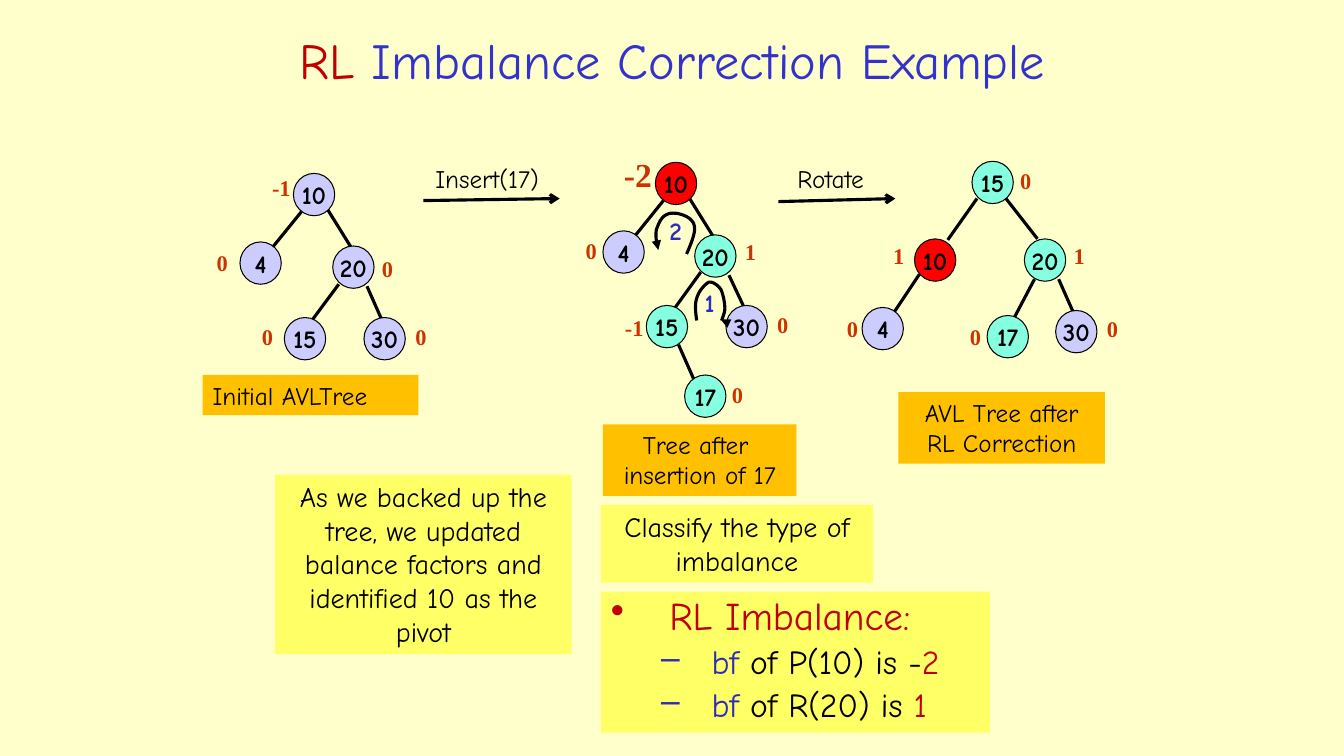
"""Build a slide that walks through an RL imbalance correction in an AVL tree."""
from lxml.etree import SubElement
from pptx import Presentation
from pptx.dml.color import RGBColor
from pptx.enum.shapes import MSO_CONNECTOR, MSO_SHAPE
from pptx.enum.text import MSO_ANCHOR, PP_ALIGN
from pptx.oxml.ns import qn
from pptx.util import Inches, Pt

CREAM = RGBColor(0xFF, 0xFF, 0xCC)
BLACK = RGBColor(0x00, 0x00, 0x00)
DARK_RED = RGBColor(0xC0, 0x00, 0x00)
TITLE_BLUE = RGBColor(0x33, 0x33, 0xCC)
BLUE = RGBColor(0x2D, 0x2D, 0xB9)
RUST = RGBColor(0xCC, 0x33, 0x00)
LILAC = RGBColor(0xCC, 0xCC, 0xFF)
MINT = RGBColor(0x85, 0xFF, 0xE0)
RED = RGBColor(0xFF, 0x00, 0x00)
ORANGE = RGBColor(0xFF, 0xC0, 0x00)
YELLOW = RGBColor(0xFF, 0xFF, 0x66)

deck = Presentation()
deck.slide_width, deck.slide_height = Inches(13.33), Inches(7.5)
page = deck.slides.add_slide(deck.slide_layouts[6])
page.background.fill.solid()
page.background.fill.fore_color.rgb = CREAM


def add_box(kind, area, paragraphs, fill=None, outline=None, align=PP_ALIGN.LEFT,
            anchor=MSO_ANCHOR.TOP, wrap=True, **font):
    """Add a text box, or a shape of the given kind; a paragraph is a list of (text, colour)."""
    area = [Inches(length) for length in area]
    if kind is None:
        box = page.shapes.add_textbox(*area)
    else:
        box = page.shapes.add_shape(kind, *area)
        box.shadow.inherit = False
        box.fill.solid()
        box.fill.fore_color.rgb = fill
        if outline is None:
            box.line.fill.background()
        else:
            box.line.color.rgb = outline
            box.line.width = Pt(0.75)
    frame = box.text_frame
    frame.word_wrap = wrap
    frame.vertical_anchor = anchor
    for number, runs in enumerate(paragraphs):
        para = frame.add_paragraph() if number else frame.paragraphs[0]
        para.alignment = align
        for text, color in runs:
            span = para.add_run()
            span.text = text
            span.font.color.rgb = color
            for name, value in ({"name": "Comic Neue"} | font).items():
                setattr(span.font, name, value)
    return box


def style_line(shape, arrowhead=None):
    """Give a line its black stroke, no shadow and an optional arrowhead at its end."""
    shape.line.color.rgb = BLACK
    shape.line.width = Pt(2.25)
    if arrowhead:
        SubElement(shape.line._get_or_add_ln(), qn("a:tailEnd"), type=arrowhead)
    properties = shape._element.spPr
    if properties.find(qn("a:effectLst")) is None:
        SubElement(properties, qn("a:effectLst"))


add_box(None, (1.9, 0.21, 9.54, 0.76),
        [[("RL ", DARK_RED), ("Imbalance Correction Example", TITLE_BLUE)]],
        align=PP_ALIGN.CENTER, anchor=MSO_ANCHOR.MIDDLE, size=Pt(36))

edges = [
    (3.25, 2.08, 3.48, 2.45), (2.99, 2.1, 2.69, 2.47),
    (3.64, 2.84, 3.79, 3.18), (3.36, 2.82, 3.1, 3.17),
    (6.84, 1.97, 7.07, 2.34), (6.58, 1.99, 6.29, 2.35),
    (7.23, 2.73, 7.39, 3.07), (6.95, 2.7, 6.69, 3.06), (6.73, 3.42, 6.88, 3.76),
    (9.97, 1.96, 10.29, 2.37), (9.69, 1.97, 9.4, 2.38),
    (10.5, 2.77, 10.65, 3.11), (10.26, 2.77, 10.05, 3.17), (9.12, 2.72, 8.86, 3.11),
]
step_arrows = [(4.2, 1.99, 5.55, 1.97), (7.72, 2, 8.88, 1.97)]
for ends in edges + step_arrows:
    line = page.shapes.add_connector(MSO_CONNECTOR.STRAIGHT, *[Inches(end) for end in ends])
    style_line(line, "arrow" if ends in step_arrows else None)

nodes = [
    ("10", 2.91, 1.72, LILAC, "-1", 2.6, 1.68),
    ("4", 2.38, 2.4, LILAC, "0", 2.05, 2.42),
    ("20", 3.3, 2.44, LILAC, "0", 3.69, 2.48),
    ("15", 2.82, 3.15, LILAC, "0", 2.5, 3.16),
    ("30", 3.61, 3.15, LILAC, "0", 4.02, 3.16),
    ("10", 6.5, 1.61, RED, "-2", 6.09, 1.48),
    ("4", 5.98, 2.29, LILAC, "0", 5.71, 2.3),
    ("20", 6.89, 2.33, MINT, "1", 7.29, 2.31),
    ("15", 6.41, 3.03, MINT, "-1", 6.1, 3.07),
    ("30", 7.2, 3.03, LILAC, "0", 7.61, 3.04),
    ("17", 6.79, 3.72, MINT, "0", 7.16, 3.73),
    ("15", 9.64, 1.6, MINT, "0", 10.02, 1.61),
    ("10", 9.07, 2.37, RED, "1", 8.76, 2.35),
    ("20", 10.16, 2.37, MINT, "1", 10.55, 2.35),
    ("4", 8.55, 3.05, LILAC, "0", 8.3, 3.08),
    ("17", 9.79, 3.13, MINT, "0", 9.52, 3.16),
    ("30", 10.47, 3.08, LILAC, "0", 10.88, 3.08),
]
factor_sizes = {"0": (0.31, 0.37, 16), "1": (0.31, 0.37, 16),
                "-1": (0.39, 0.37, 16), "-2": (0.48, 0.5, 24)}
for key, left, top, fill, factor, factor_left, factor_top in nodes:
    add_box(MSO_SHAPE.OVAL, (left, top, 0.41, 0.42), [[(key, BLACK)]], fill, BLACK,
            PP_ALIGN.CENTER, MSO_ANCHOR.MIDDLE, wrap=False, size=Pt(18), bold=True)
    width, height, points = factor_sizes[factor]
    add_box(None, (factor_left, factor_top, width, height), [[(factor, RUST)]],
            wrap=False, name="Times New Roman", size=Pt(points), bold=True)

rotations = [
    ("2", 6.54, 2.09, [
        (6.81, 2.52), (6.85, 2.43), (6.89, 2.33), (6.89, 2.27), (6.89, 2.2), (6.84, 2.16),
        (6.79, 2.14), (6.75, 2.12), (6.66, 2.1), (6.61, 2.13), (6.56, 2.15), (6.53, 2.22),
        (6.51, 2.28), (6.5, 2.34), (6.51, 2.41), (6.53, 2.48)]),
    ("1", 6.89, 2.8, [
        (6.91, 3.18), (6.9, 3.1), (6.89, 3.02), (6.91, 2.96), (6.93, 2.89), (6.99, 2.82),
        (7.03, 2.8), (7.07, 2.79), (7.12, 2.83), (7.15, 2.87), (7.17, 2.91), (7.19, 3),
        (7.19, 3.06), (7.19, 3.11), (7.15, 3.19), (7.15, 3.21), (7.14, 3.23), (7.14, 3.2),
        (7.15, 3.17)]),
]
STEPS = 8
for order, left, top, controls in rotations:
    curve = []
    for first in range(0, len(controls) - 1, 3):
        for step in range(1, STEPS + 1):
            t = step / STEPS
            weights = ((1 - t) ** 3, 3 * t * (1 - t) ** 2, 3 * t ** 2 * (1 - t), t ** 3)
            corners = list(zip(weights, controls[first:first + 4]))
            curve.append(tuple(Inches(sum(weight * point[axis] for weight, point in corners))
                               for axis in (0, 1)))
    start_x, start_y = controls[0]
    outline = page.shapes.build_freeform(Inches(start_x), Inches(start_y))
    outline.add_line_segments(curve, close=False)
    arc = outline.convert_to_shape()
    arc.fill.background()
    style_line(arc, "triangle")
    add_box(None, (left, top, 0.36, 0.4), [[(order, BLUE)]], wrap=False, size=Pt(18), bold=True)

captions = [
    (None, (4.22, 1.57, 1.47, 0.4), ["Insert(17)"], None, PP_ALIGN.LEFT, 18),
    (None, (7.81, 1.57, 1.02, 0.4), ["Rotate"], None, PP_ALIGN.LEFT, 18),
    (MSO_SHAPE.RECTANGLE, (2.01, 3.72, 2.14, 0.4), ["Initial AVLTree"],
     ORANGE, PP_ALIGN.LEFT, 18),
    (MSO_SHAPE.RECTANGLE, (5.98, 4.21, 1.92, 0.71), ["Tree after ", "insertion of 17"],
     ORANGE, PP_ALIGN.CENTER, 18),
    (MSO_SHAPE.RECTANGLE, (8.91, 3.89, 2.05, 0.71), ["AVL Tree after", "RL Correction"],
     ORANGE, PP_ALIGN.CENTER, 18),
    (MSO_SHAPE.RECTANGLE, (2.73, 4.71, 2.94, 1.78),
     ["As we backed up the tree, we updated balance factors and identified 10 as the pivot"],
     YELLOW, PP_ALIGN.CENTER, 20),
    (MSO_SHAPE.RECTANGLE, (5.96, 5.01, 2.7, 0.77), ["Classify the type of imbalance"],
     YELLOW, PP_ALIGN.CENTER, 20),
]
for kind, area, lines, fill, align, points in captions:
    add_box(kind, area, [[(text, BLACK)] for text in lines], fill, align=align, size=Pt(points))

summary = add_box(MSO_SHAPE.RECTANGLE, (5.96, 5.87, 3.86, 1.4), [
    [("RL Imbalance:", DARK_RED)],
    [("bf", BLUE), (" of P(10) is -", BLACK), ("2", DARK_RED)],
    [("bf", BLUE), (" of R(20) is ", BLACK), ("1", DARK_RED)],
], YELLOW, size=Pt(24))
bullets = [("•", 0, 0.58, 0.58, DARK_RED, 28, 0), ("–", 1, 1, 0.5, BLUE, 24, 4.8),
           ("–", 1, 1, 0.5, BLUE, 24, 4.8)]
for para, (mark, level, margin, hanging, color, points, gap) in zip(
        summary.text_frame.paragraphs, bullets):
    para.level = level
    para.line_spacing = 0.9
    para.space_before = Pt(gap)
    properties = para._p.get_or_add_pPr()
    properties.set("marL", str(Inches(margin)))
    properties.set("indent", str(-Inches(hanging)))
    SubElement(SubElement(properties, qn("a:buClr")), qn("a:srgbClr"), val=str(color))
    SubElement(properties, qn("a:buChar"), char=mark)
    for span in para.runs:
        span.font.size = Pt(points)

deck.save("out.pptx")
